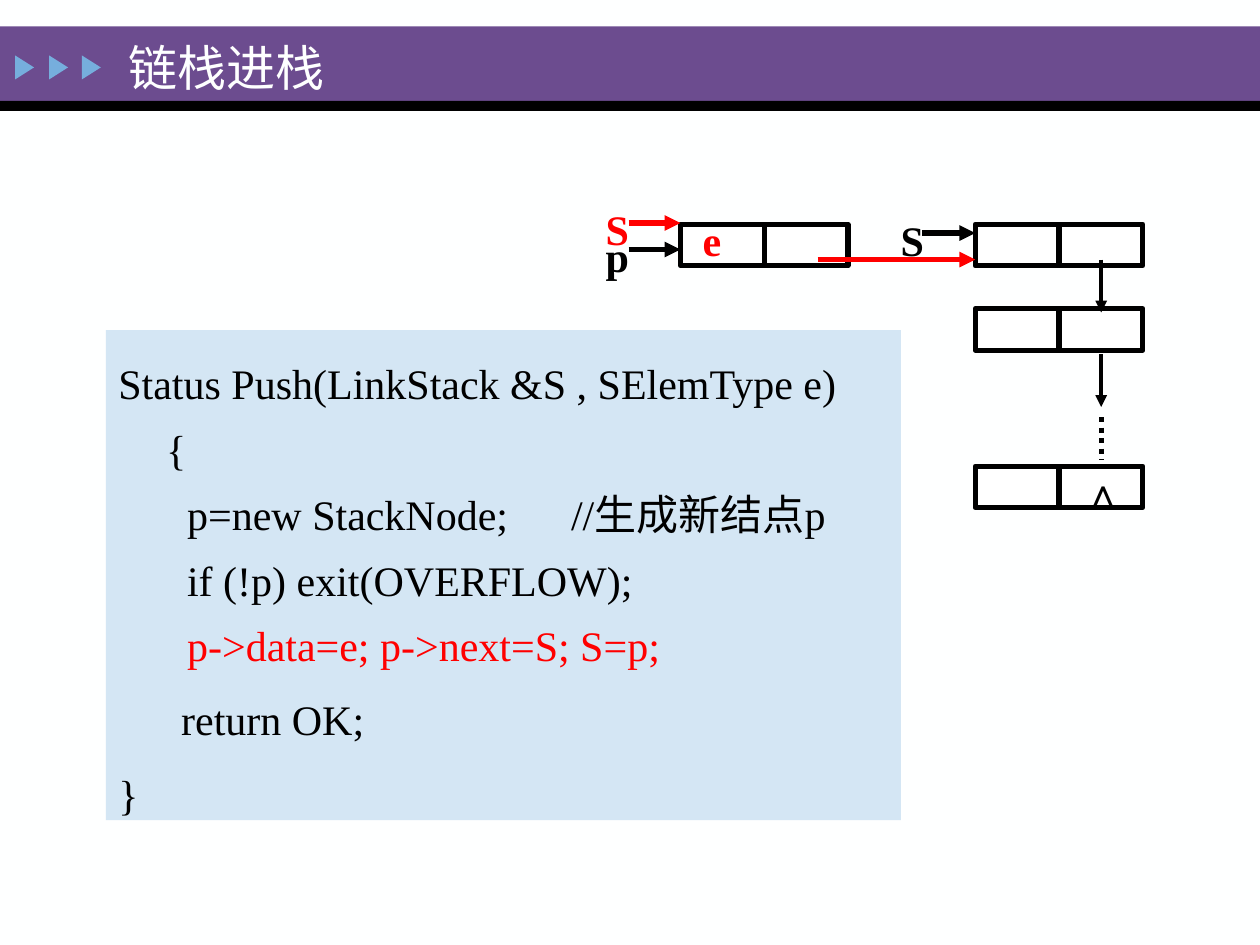
from pptx import Presentation
from pptx.dml.color import RGBColor
from pptx.enum.dml import MSO_LINE
from pptx.enum.shapes import MSO_CONNECTOR, MSO_SHAPE
from pptx.enum.text import MSO_ANCHOR, PP_ALIGN
from pptx.oxml.ns import qn
from pptx.util import Inches, Pt
from lxml.etree import SubElement

COLORS = {
    "background": "FEFFFF",
    "band": "6C4C8F",
    "marker": "76AEDD",
    "code": "D4E6F4",
    "white": "FFFFFF",
    "black": "000000",
    "red": "FF0000",
}
FONT = "Times New Roman"
NODE_WIDTH, NODE_HEIGHT = 1.33, 0.33


def rgb(name):
    return RGBColor.from_string(COLORS[name])


class StackSlide:
    """Holds the style and the current slide."""

    def __init__(self, presentation):
        self.slide = presentation.slides.add_slide(presentation.slide_layouts[5])
        self.shapes = self.slide.shapes
        fill = self.slide.background.fill
        fill.solid()
        fill.fore_color.rgb = rgb("background")

    def style_font(self, font, color, size=24, bold=False):
        font.name, font.size, font.bold = FONT, Pt(size), bold
        font.color.rgb = rgb(color)

    def box(self, left, top, width, height, fill, line=None, kind=MSO_SHAPE.RECTANGLE):
        shape = self.shapes.add_shape(
            kind, Inches(left), Inches(top), Inches(width), Inches(height))
        shape.shadow.inherit = False
        shape.fill.solid()
        shape.fill.fore_color.rgb = rgb(fill)
        if line:
            shape.line.color.rgb = rgb(line)
            shape.line.width = Pt(3)
        else:
            shape.line.fill.background()
        return shape

    def line(self, x1, y1, x2, y2, color="black", width=3, arrow=False):
        connector = self.shapes.add_connector(
            MSO_CONNECTOR.STRAIGHT, Inches(x1), Inches(y1), Inches(x2), Inches(y2))
        connector.line.color.rgb = rgb(color)
        connector.line.width = Pt(width)
        properties = connector.element.spPr
        if arrow:
            SubElement(properties.find(qn("a:ln")), qn("a:tailEnd"), type="triangle")
        SubElement(properties, qn("a:effectLst"))
        return connector

    def node(self, left, top):
        cell = self.box(left, top, NODE_WIDTH, NODE_HEIGHT, "white", "black")
        middle = left + NODE_WIDTH / 2
        divider = self.line(middle, top, middle, top + NODE_HEIGHT)
        divider.begin_connect(cell, 0)
        divider.end_connect(cell, 2)

    def label(self, text, left, top, color="black"):
        shape = self.shapes.add_textbox(
            Inches(left), Inches(top), Inches(0.5), Inches(0.5))
        shape.text_frame.word_wrap = True
        paragraph = shape.text_frame.paragraphs[0]
        paragraph.text = text
        paragraph.alignment = PP_ALIGN.CENTER
        self.style_font(paragraph.font, color, bold=True)

    def title(self, text):
        title = self.shapes.title
        title.left, title.top = Inches(0.92), Inches(0.28)
        title.width, title.height = Inches(7), Inches(0.5)
        frame = title.text_frame
        frame.text = text
        frame.vertical_anchor = MSO_ANCHOR.MIDDLE
        frame.paragraphs[0].alignment = PP_ALIGN.LEFT
        self.style_font(frame.paragraphs[0].font, "background", size=28)
        # Bring the title in front of the band
        title.element.getparent().append(title.element)

    def code(self, paragraphs, left, top, width, height):
        frame = self.box(left, top, width, height, "code").text_frame
        frame.word_wrap = True
        frame.vertical_anchor = MSO_ANCHOR.TOP
        frame.margin_top = Inches(0.1)
        for index, (text, highlight) in enumerate(paragraphs):
            paragraph = frame.add_paragraph() if index else frame.paragraphs[0]
            paragraph.text = text
            paragraph.alignment = PP_ALIGN.LEFT
            paragraph.line_spacing = 1.3
            paragraph.space_before = Pt(5 if index else 0)
            indent = Inches(0.38)
            properties = paragraph._p.get_or_add_pPr()
            properties.set("marL", str(indent))
            properties.set("indent", str(-indent))
            self.style_font(paragraph.font, "black")
            for run in paragraph.runs:
                run.font.color.rgb = rgb("black")
            if highlight:
                run = paragraph.add_run()
                run.text = highlight
                run.font.color.rgb = rgb("red")


def main():
    presentation = Presentation()
    presentation.slide_width, presentation.slide_height = Inches(10), Inches(7.5)
    stack = StackSlide(presentation)

    # Header band with three markers
    stack.box(0, 0.21, 10, 0.59, "band")
    stack.box(0, 0.8, 10, 0.08, "black")
    for left in (0.1, 0.37, 0.63):
        marker = stack.box(left, 0.46, 0.19, 0.15, "marker",
                           kind=MSO_SHAPE.ISOSCELES_TRIANGLE)
        marker.rotation = 90
    stack.title("链栈进栈")

    # New node and the linked stack
    new_left, stack_left, top = 5.4, 7.74, 1.78
    stack.node(new_left, top)
    for node_top in (top, 2.45, 3.7):
        stack.node(stack_left, node_top)

    # Links down the stack
    link_x = stack_left + 1
    for start in (2.06, 2.81):
        stack.line(link_x, start, link_x, start + 0.42, width=2.25, arrow=True)
    dots = stack.line(link_x, 3.31, link_x, 3.65)
    dots.line.dash_style = MSO_LINE.ROUND_DOT
    stack.label("∧", 8.49, 3.65)

    # Pointers: start x, y, end x, color
    for start, y, end, color in (
        (4.99, 1.98, new_left, "black"),
        (7.32, 1.85, stack_left, "black"),
        (6.49, 2.06, stack_left, "red"),
        (4.99, 1.77, new_left, "red"),
    ):
        stack.line(start, y, end, y, color, arrow=True)
    stack.label("p", 4.65, 1.78)
    stack.label("S", 6.99, 1.65)
    stack.label("e", 5.4, 1.65, "red")
    stack.label("S", 4.65, 1.57, "red")

    # Push algorithm
    push_lines = (
        "Status Push(LinkStack &S , SElemType e)",
        "{",
        "  p=new StackNode;      //生成新结点p",
        "  if (!p) exit(OVERFLOW);",
        "  ",
    )
    stack.code([
        ("\v".join(push_lines), "p->data=e; p->next=S; S=p;"),
        ("      return OK;", None),
        ("}", None),
    ], 0.84, 2.62, 6.31, 3.89)

    presentation.save("out.pptx")


if __name__ == "__main__":
    main()
